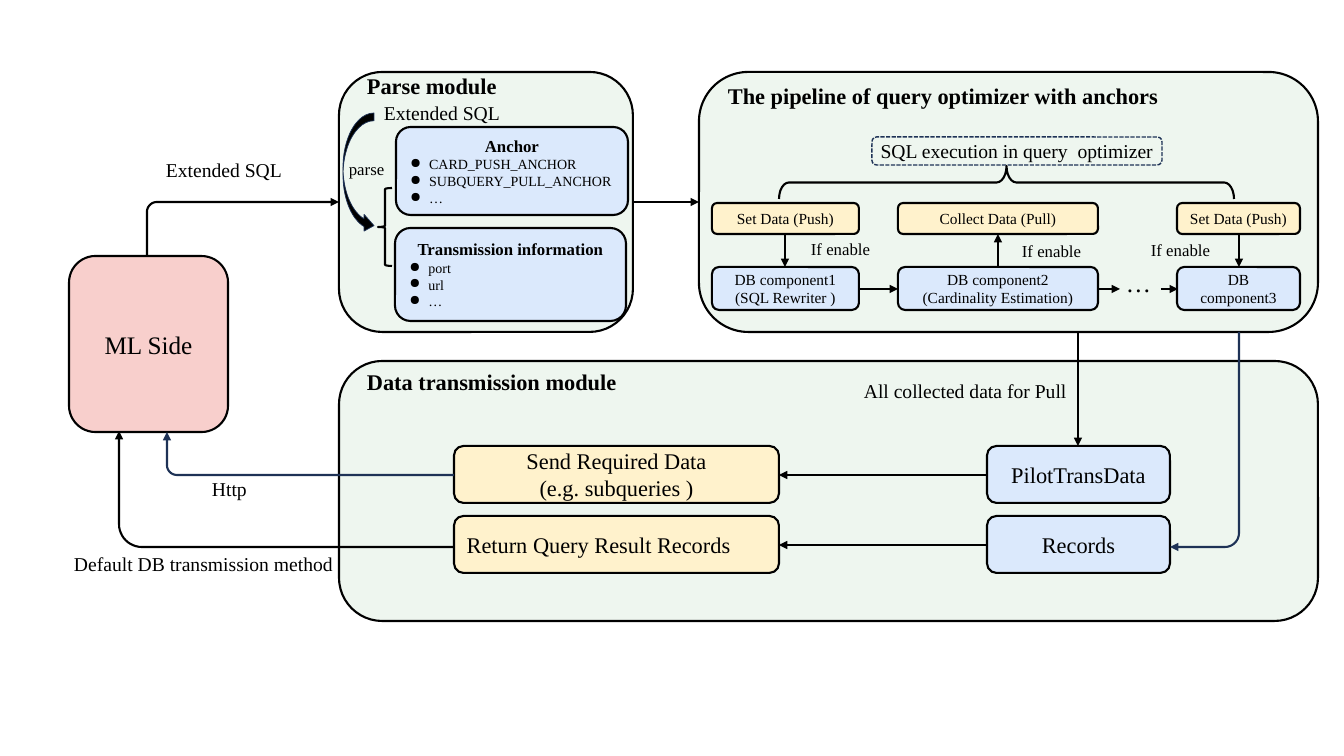
from math import cos, dist, pi, sin

from lxml import etree
from pptx import Presentation
from pptx.dml.color import RGBColor
from pptx.enum.dml import MSO_LINE
from pptx.enum.shapes import MSO_CONNECTOR, MSO_SHAPE
from pptx.enum.text import MSO_ANCHOR, PP_ALIGN
from pptx.oxml.ns import qn
from pptx.util import Emu, Pt

SCALE = 914400 / 100.8
ROUNDED, BRACE = MSO_SHAPE.ROUNDED_RECTANGLE, MSO_SHAPE.LEFT_BRACE
CURVED_ARROW = MSO_SHAPE.CURVED_RIGHT_ARROW
STRAIGHT, DASHED = MSO_CONNECTOR.STRAIGHT, MSO_LINE.SQUARE_DOT
LEFT, CENTER = PP_ALIGN.LEFT, PP_ALIGN.CENTER
MIDDLE, TOP = MSO_ANCHOR.MIDDLE, MSO_ANCHOR.TOP

BLACK, NAVY = "000000", "1E3256"
GREEN, BLUE, YELLOW, PINK = "EEF6EF", "DBE9FC", "FFF2CC", "F8CFCC"


def px(length):
    return Emu(round(length * SCALE))


def rgb(value):
    return RGBColor.from_string(value)


def apply(target, **values):
    for name, value in values.items():
        setattr(target, name, value)


class Diagram:
    font = "Times New Roman"
    stroke = 1.5

    def __init__(self, slide):
        self.shapes = slide.shapes

    def outline(self, line, color=BLACK, width=None):
        line.color.rgb = rgb(color)
        line.width = Pt(width or self.stroke)

    def paragraph(self, frame, first, text, size, align, bold=False):
        item = frame.paragraphs[0] if first else frame.add_paragraph()
        item.alignment = align
        run = item.add_run()
        run.text = text
        apply(run.font, name=self.font, size=Pt(size), bold=bold)
        run.font.color.rgb = rgb(BLACK)
        return item

    def text(self, frame, lines, size, align, bold=False, anchor=MIDDLE):
        apply(frame, word_wrap=True, vertical_anchor=anchor)
        for index, line in enumerate(lines.split("\n")):
            self.paragraph(frame, index == 0, line, size, align, bold)

    def shape(self, kind, at, fill=None, color=BLACK, width=None, adjust=()):
        shape = self.shapes.add_shape(kind, *map(px, at))
        shape.shadow.inherit = False
        if fill:
            shape.fill.solid()
            shape.fill.fore_color.rgb = rgb(fill)
        else:
            shape.fill.background()
        self.outline(shape.line, color, width)
        for index, value in enumerate(adjust):
            shape.adjustments[index] = value
        return shape

    def box(self, at, fill, lines, size, align=CENTER):
        self.text(self.shape(ROUNDED, at, fill).text_frame, lines, size, align)

    def list_box(self, at, heading, items):
        frame = self.shape(ROUNDED, at, BLUE).text_frame
        self.text(frame, heading, 12, CENTER, bold=True)
        for item in items:
            props = self.paragraph(frame, False, item, 10, LEFT)._p.get_or_add_pPr()
            props.set("marL", str(px(19)))
            props.set("indent", str(px(-19)))
            etree.SubElement(props, qn("a:buChar")).set("char", "●")

    def label(self, at, words, size=14, bold=False):
        frame = self.shapes.add_textbox(*map(px, at)).text_frame
        self.text(frame, words, size, LEFT, bold, TOP)

    def head(self, line):
        ln = line._element.spPr.find(qn("a:ln"))
        etree.SubElement(ln, qn("a:tailEnd")).set("type", "triangle")

    def arrow(self, *ends):
        line = self.shapes.add_connector(STRAIGHT, *map(px, ends))
        self.outline(line.line)
        self.head(line)
        etree.SubElement(line._element.spPr, qn("a:effectLst"))

    def bent_arrow(self, start, corner, end, radius, color=BLACK):
        """Two straight legs joined by a quarter circle."""
        back, ahead = ([(p - c) / dist(point, corner) * radius
                        for p, c in zip(point, corner)] for point in (start, end))
        turns = [pi / 2 * step / 12 for step in range(13)]
        curve = [[c + b * (1 - sin(t)) + a * (1 - cos(t))
                  for c, b, a in zip(corner, back, ahead)] for t in turns]
        builder = self.shapes.build_freeform(*map(px, start))
        builder.add_line_segments([tuple(map(px, p)) for p in [*curve, end]], close=False)
        line = builder.convert_to_shape()
        line.shadow.inherit = False
        line.fill.background()
        self.outline(line.line, color)
        self.head(line)


deck = Presentation()
apply(deck, slide_width=px(1344), slide_height=px(756))
diagram = Diagram(deck.slides.add_slide(deck.slide_layouts[6]))

# Module panels and their headings
for panel, adjust in (((699, 72, 619, 260), [0.19]),
                      ((339, 72, 294, 260), []),
                      ((339, 361, 979, 260), [])):
    diagram.shape(ROUNDED, panel, GREEN, adjust=adjust)
for at, heading in (((357, 67, 168, 37), "Parse module"),
                    ((718, 77, 480, 37), "The pipeline of query optimizer with anchors"),
                    ((357, 363, 338, 37), "Data transmission module")):
    diagram.label(at, heading, 16, bold=True)

# ML side
diagram.box((69, 256, 159, 176), PINK, "ML Side", 18)

# Parse module
diagram.list_box((395, 228, 231, 93), "Transmission information", ["port", "url", "…"])
diagram.list_box((396, 127, 232, 88), "Anchor",
                 ["CARD_PUSH_ANCHOR", "SUBQUERY_PULL_ANCHOR", "…"])
diagram.shape(CURVED_ARROW, (343, 113, 31, 121), BLACK, NAVY, 0.5, [0.25, 0.54, 0.32])
diagram.shape(BRACE, (378, 188, 14, 78))

# Query optimizer pipeline
execution = diagram.shape(ROUNDED, (872, 137, 290, 28), color=NAVY, width=1)
execution.line.dash_style = DASHED
apply(execution.text_frame, margin_left=0, margin_right=0, margin_top=0, margin_bottom=0)
diagram.text(execution.text_frame, "SQL execution in query  optimizer", 14, CENTER)
diagram.shape(BRACE, (990, -45, 33, 455), adjust=[0.3, 0.5]).rotation = 90
for left, width, step, component in (
        (712, 147, "Set Data (Push)", "DB component1\n(SQL Rewriter )"),
        (898, 200, "Collect Data (Pull)", "DB component2\n(Cardinality Estimation)"),
        (1177, 123, "Set Data (Push)", "DB component3")):
    diagram.box((left, 203, width, 31), YELLOW, step, 11)
    diagram.box((left, 267, width, 43), BLUE, component, 11)
diagram.label((1116, 262, 23, 40), "…", 18)

# Data transmission
for top, data, result, align in (
        (446, "PilotTransData", "Send Required Data\n(e.g. subqueries )", CENTER),
        (516, "Records", "Return Query Result Records", LEFT)):
    diagram.box((987, top, 183, 57), BLUE, data, 16)
    diagram.box((454, top, 325, 57), YELLOW, result, 16, align)
    diagram.arrow(987, top + 29, 779, top + 29)

# Flow labels
for at, words in (((156, 153, 212, 34), "Extended SQL"),
                  ((374, 96, 140, 34), "Extended SQL"),
                  ((64, 547, 370, 34), "Default DB transmission method"),
                  ((854, 374, 262, 34), "All collected data for Pull"),
                  ((202, 472, 74, 34), "Http")):
    diagram.label(at, words)
for left, top, words in ((801, 234, "If enable"), (1012, 236, "If enable"),
                         (1141, 235, "If enable"), (339, 154, "parse")):
    diagram.label((left, top, 60 if words == "parse" else 84, 30), words, 12)

# Straight flows
for ends in ((633, 202, 699, 202), (859, 289, 898, 289), (1098, 289, 1120, 289),
             (1161, 289, 1178, 289), (785, 234, 785, 267), (998, 267, 998, 234),
             (1239, 234, 1239, 267), (1078, 332, 1078, 446)):
    diagram.arrow(*ends)

# Bent flows
diagram.bent_arrow((147, 256), (147, 202), (339, 202), 10)
diagram.bent_arrow((1239, 332), (1239, 547), (1170, 547), 14, NAVY)
diagram.bent_arrow((454, 475), (167, 475), (167, 432), 10, NAVY)
diagram.bent_arrow((454, 547), (119, 547), (119, 431), 23)

deck.save("out.pptx")
